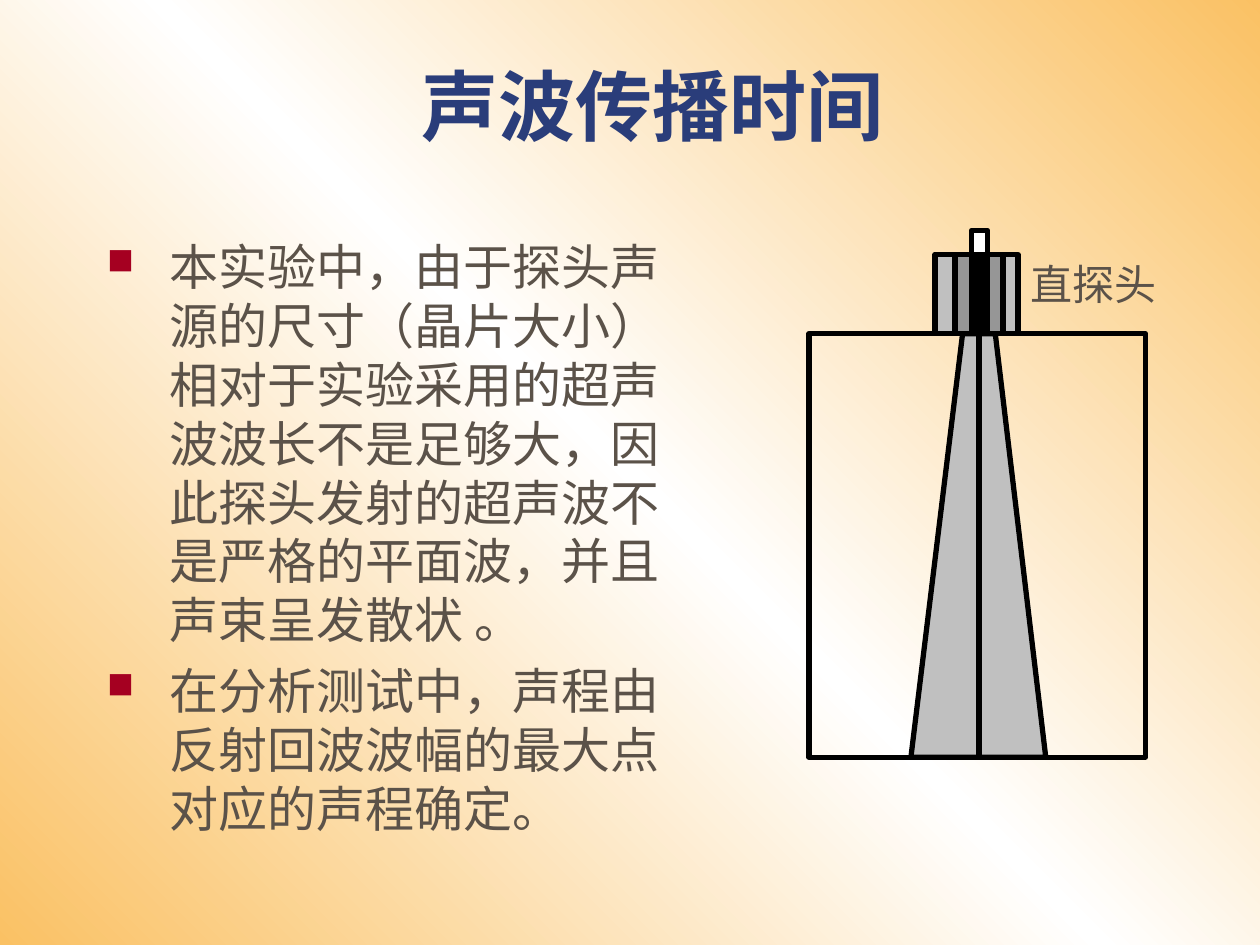
from copy import deepcopy

from lxml import etree
from pptx import Presentation
from pptx.dml.color import RGBColor
from pptx.enum.shapes import MSO_CONNECTOR, MSO_SHAPE
from pptx.enum.text import MSO_ANCHOR, PP_ALIGN
from pptx.oxml.ns import qn
from pptx.util import Inches, Pt

RECT = MSO_SHAPE.RECTANGLE
STRAIGHT = MSO_CONNECTOR.STRAIGHT
TOP, BOTTOM = MSO_ANCHOR.TOP, MSO_ANCHOR.BOTTOM
LEFT, CENTER = PP_ALIGN.LEFT, PP_ALIGN.CENTER

ORANGE = RGBColor(0xFA, 0xC1, 0x64)
WHITE = RGBColor(0xFF, 0xFF, 0xFF)
BLACK = RGBColor(0, 0, 0)
NAVY = RGBColor(0x2A, 0x3D, 0x7A)
BROWN = RGBColor(0x5B, 0x52, 0x49)
RED = RGBColor(0xA5, 0x00, 0x21)
LIGHT = RGBColor(0xC0, 0xC0, 0xC0)
GREY = RGBColor(0x96, 0x96, 0x96)
SANS, SERIF = "Noto Sans CJK SC", "Times New Roman"


def add_text(box, paragraphs, size, color, bold=False, align=LEFT, anchor=TOP, bullet=None):
    """Add a text box; each paragraph is a list of (text, font) runs."""
    tf = s.shapes.add_textbox(*[Inches(v) for v in box]).text_frame
    tf.word_wrap = True
    tf.vertical_anchor = anchor
    for i, runs in enumerate(paragraphs):
        p = tf.paragraphs[0] if i == 0 else tf.add_paragraph()
        p.alignment = align
        if i:
            p.space_before = Pt(7)
        if bullet:
            pPr = p._p.get_or_add_pPr()
            pPr.set("marL", str(Inches(0.5)))
            pPr.set("indent", str(Inches(-0.5)))
            bu_clr = etree.SubElement(pPr, qn("a:buClr"))
            etree.SubElement(bu_clr, qn("a:srgbClr"), val=str(RED))
            etree.SubElement(pPr, qn("a:buSzPct"), val="75000")
            etree.SubElement(pPr, qn("a:buChar"), char=bullet)
        for text, font in runs:
            r = p.add_run()
            r.text = text
            r.font.name = font
            r.font.size = Pt(size)
            r.font.bold = bold
            r.font.color.rgb = color
            etree.SubElement(r.font._element, qn("a:ea"), typeface=SANS)


def style(shape, fill=None):
    shape.shadow.inherit = False
    if fill is None:
        shape.fill.background()
    else:
        shape.fill.solid()
        shape.fill.fore_color.rgb = fill
    shape.line.color.rgb = BLACK
    shape.line.width = Pt(3)


prs = Presentation()
prs.slide_width, prs.slide_height = Inches(10), Inches(7.5)
s = prs.slides.add_slide(prs.slide_layouts[6])

# Background: orange corners with a white diagonal
bg = s.background.fill
bg.gradient()
bg.gradient_angle = 225
first = bg.gradient_stops[0]._gs
first.addnext(deepcopy(first))
for stop, color, position in zip(bg.gradient_stops, (ORANGE, WHITE, ORANGE), (0, 0.5, 1)):
    stop.color.rgb = color
    stop.position = position

add_text((1, 0, 8.5, 1.25), [[("声波传播时间 ", SANS)]], 44, NAVY,
         bold=True, align=CENTER, anchor=BOTTOM)
add_text((0.75, 1.83, 4.58, 5.67), [
    [("本实验中，由于探头声源的尺寸（晶片大小）相对于实验采用的超声波波长不是足够大，"
      "因此探头发射的超声波不是严格的平面波，并且声束呈发散状", SANS), (" 。", SERIF)],
    [("在分析测试中，声程由反射回波波幅的最大点对应的声程确定。", SANS)],
], 28, BROWN, bullet="■")

# Test block with the diverging beam
AXIS, SURFACE, DEPTH = 7.77, 2.65, 3.36
FLOOR = SURFACE + DEPTH
fb = s.shapes.build_freeform(Inches(7.23), Inches(FLOOR))
fb.add_line_segments([(Inches(x), Inches(y)) for x, y in
                      ((8.3, FLOOR), (7.9, SURFACE), (7.64, SURFACE))], close=True)
style(fb.convert_to_shape(), LIGHT)
block = s.shapes.add_shape(RECT, Inches(6.42), Inches(SURFACE), Inches(2.67), Inches(DEPTH))
style(block)
axis = s.shapes.add_connector(STRAIGHT, Inches(AXIS), Inches(SURFACE), Inches(AXIS), Inches(FLOOR))
axis.line.color.rgb = BLACK
axis.line.width = Pt(3)
etree.SubElement(axis._element.spPr, qn("a:effectLst"))

# Probe: nested housings standing on the block, with the plug on top
PROBE_TOP = 2.02
for left, width, top, bottom, fill in (
    (7.42, 0.66, PROBE_TOP, SURFACE, LIGHT),
    (7.58, 0.38, PROBE_TOP, SURFACE, GREY),
    (7.71, 0.13, PROBE_TOP, SURFACE, BLACK),
    (7.71, 0.13, 1.83, PROBE_TOP, WHITE),
):
    style(s.shapes.add_shape(RECT, Inches(left), Inches(top), Inches(width), Inches(bottom - top)), fill)

add_text((8.08, 2, 1.43, 0.5), [[("直探头", SERIF)]], 24, BROWN, align=PP_ALIGN.JUSTIFY)

prs.save("out.pptx")
